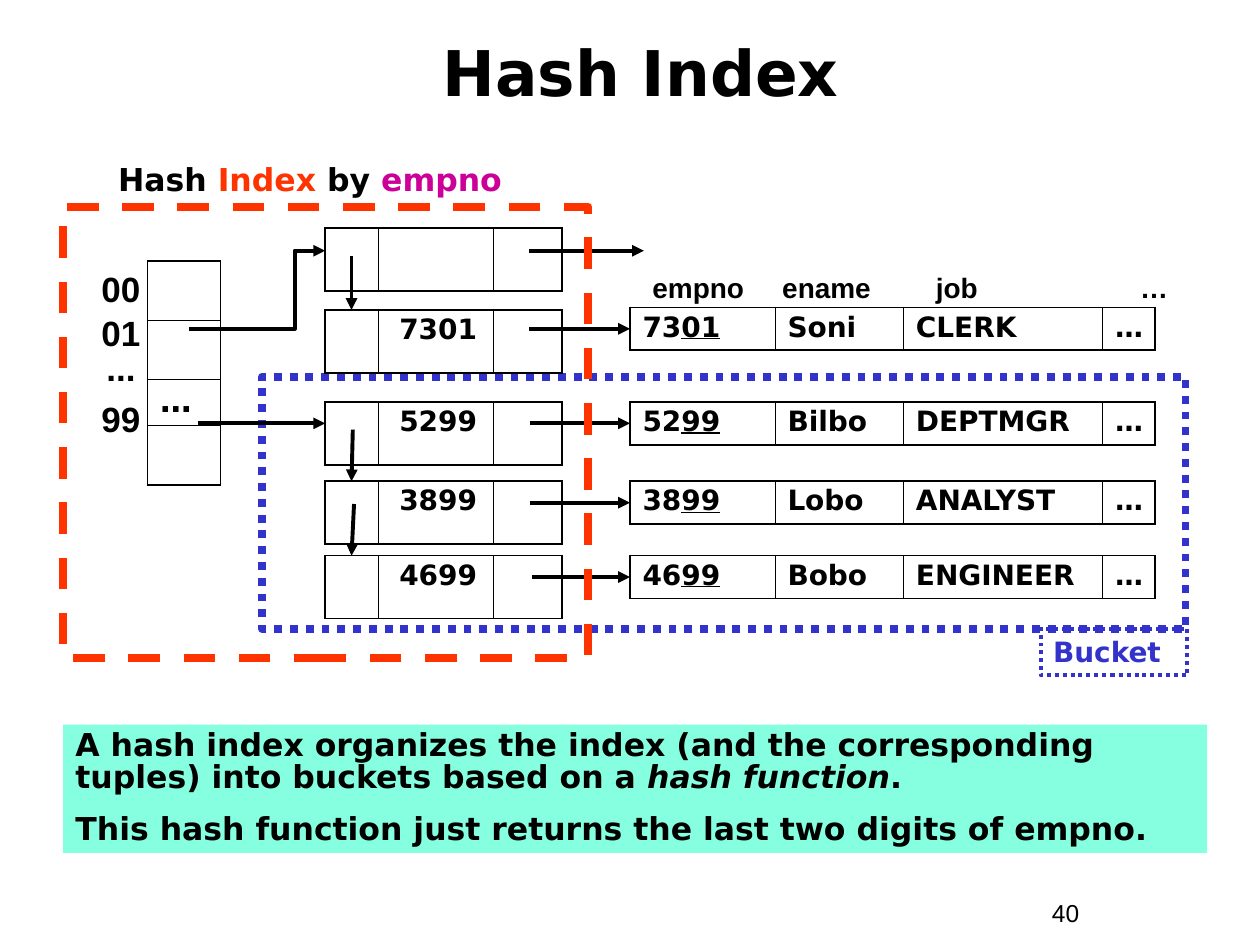
from dataclasses import dataclass

from lxml.etree import SubElement
from pptx import Presentation
from pptx.dml.color import RGBColor
from pptx.enum.dml import MSO_LINE
from pptx.enum.shapes import MSO_CONNECTOR, MSO_SHAPE
from pptx.enum.text import MSO_ANCHOR, PP_ALIGN
from pptx.oxml import parse_xml
from pptx.oxml.ns import nsdecls, qn
from pptx.util import Inches, Pt


@dataclass(frozen=True)
class Theme:
    sans: str = "DejaVu Sans"
    arial: str = "Arial"
    black: str = "000000"
    bucket: str = "3333CC"
    index: str = "FF3300"
    key: str = "CC0099"
    note: str = "85FFDF"
    title: int = 36
    hash_label: int = 20
    body: int = 18
    cell: int = 16
    page: int = 14
    arrow: float = 2.25
    frame: float = 4.5
    outer_border: float = 1.08
    inner_border: float = 0.45


theme = Theme()


def write(frame, paragraphs, size, font=theme.sans, align=PP_ALIGN.LEFT,
          spacing=None, bold=True, color=theme.black):
    """Fill a text frame; each paragraph is a list of (text, {run overrides})."""
    frame.word_wrap = True
    for i, runs in enumerate(paragraphs):
        paragraph = frame.paragraphs[0] if i == 0 else frame.add_paragraph()
        paragraph.alignment = align
        paragraph.line_spacing = spacing
        for text, style in runs:
            run = paragraph.add_run()
            run.text = text
            run.font.name = font
            run.font.size = Pt(size)
            run.font.bold = bold
            run.font.italic = style.get("italic")
            run.font.underline = style.get("underline")
            run.font.color.rgb = RGBColor.from_string(style.get("color", color))


def add_grid(left, top, widths, heights, contents):
    """Add an unfilled table with thick outer and thin inner borders."""
    rows, cols = len(heights), len(widths)
    table = slide.shapes.add_table(rows, cols, Inches(left), Inches(top),
                                   Inches(sum(widths)), Inches(sum(heights))).table
    table.first_row = table.horz_banding = False
    for c, width in enumerate(widths):
        table.columns[c].width = Inches(width)
    for r, height in enumerate(heights):
        table.rows[r].height = Inches(height)
        for c in range(cols):
            cell = table.cell(r, c)
            cell.fill.background()
            if contents[r][c]:
                write(cell.text_frame, [contents[r][c]], theme.cell, spacing=0.9)
            outer = {"L": c == 0, "R": c == cols - 1, "T": r == 0, "B": r == rows - 1}
            for position, (side, is_outer) in enumerate(outer.items()):
                width = Pt(theme.outer_border if is_outer else theme.inner_border)
                cell._tc.get_or_add_tcPr().insert(position, parse_xml(
                    f'<a:ln{side} {nsdecls("a")} w="{width}"><a:solidFill>'
                    f'<a:srgbClr val="{theme.black}"/></a:solidFill></a:ln{side}>'))
    return table


prs = Presentation()
prs.slide_width, prs.slide_height = Inches(10), Inches(7.5)
slide = prs.slides.add_slide(prs.slide_layouts[5])

title = slide.shapes.title
title.left, title.top = Inches(0.42), Inches(0.11)
title.width, title.height = Inches(9.33), Inches(0.92)
title.text_frame.vertical_anchor = MSO_ANCHOR.MIDDLE
write(title.text_frame, [[("Hash Index", {})]], theme.title, align=PP_ALIGN.CENTER)

# Bucket outline, its label, the index outline and the note
boxes = {}
for part, left, top, width, height, color, weight, dash in [
    ("bucket", 2.08, 2.99, 7.33, 2, theme.bucket, theme.frame, MSO_LINE.ROUND_DOT),
    ("bucket label", 8.26, 4.99, 1.16, 0.37, theme.bucket, 2.25, MSO_LINE.ROUND_DOT),
    ("index", 0.5, 1.64, 4.17, 3.58, theme.index, theme.frame, MSO_LINE.DASH),
    ("note", 0.5, 5.75, 9.08, 1.02, None, None, None),
]:
    box = slide.shapes.add_shape(MSO_SHAPE.RECTANGLE, Inches(left), Inches(top),
                                 Inches(width), Inches(height))
    box.shadow.inherit = False
    box.text_frame.vertical_anchor = MSO_ANCHOR.TOP
    if color:
        box.fill.background()
        box.line.color.rgb = RGBColor.from_string(color)
        box.line.width = Pt(weight)
        box.line.dash_style = dash
    else:
        box.fill.solid()
        box.fill.fore_color.rgb = RGBColor.from_string(theme.note)
        box.line.fill.background()
    boxes[part] = box

write(boxes["bucket label"].text_frame, [[("Bucket", {})]], theme.cell, color=theme.bucket)
note_frame = boxes["note"].text_frame
write(note_frame, [
    [("A hash index organizes the index (and the corresponding tuples) into buckets based on a ", {}),
     ("hash function", {"italic": True}), (".", {})],
    [("This hash function just returns the last two digits of empno.", {})],
], theme.body, spacing=0.85)
note_frame.paragraphs[1].space_before = Pt(11.2)

# Hash directory
directory = add_grid(1.17, 2.07, [0.58], [0.47, 0.47, 0.37, 0.47],
                     [[None], [None], [[("…", {})]], [None]])
ellipsis = directory.cell(2, 0)
ellipsis.vertical_anchor = MSO_ANCHOR.MIDDLE
ellipsis.text_frame.paragraphs[0].runs[0].font.size = Pt(theme.body)

# Index entries and the records they point to
for top, empno, ename, job in [
    (1.81, None, None, None),
    (2.46, "7301", "Soni", "CLERK"),
    (3.19, "5299", "Bilbo", "DEPTMGR"),
    (3.82, "3899", "Lobo", "ANALYST"),
    (4.41, "4699", "Bobo", "ENGINEER"),
]:
    entry = add_grid(2.58, top, [0.42, 0.92, 0.54], [0.5],
                     [[None, [(empno, {})] if empno else None, None]])
    entry.cell(0, 1).margin_left = Inches(0.17)
    if empno:
        hashed_key = [(empno[:2], {}), (empno[2:], {"underline": True})]
        record_top = 2.44 if empno == "7301" else top
        add_grid(5, record_top, [1.15, 1.02, 1.58, 0.42], [0.34],
                 [[hashed_key, [(ename, {})], [(job, {})], [("…", {})]]])

# Pointers
for x1, y1, x2, y2 in [
    (4.2, 1.99, 5.11, 1.99), (4.2, 2.61, 5, 2.61), (4.21, 3.36, 5, 3.36),
    (4.21, 3.99, 5, 3.99), (4.22, 4.58, 5, 4.58),
    (2.79, 2.03, 2.79, 2.46), (2.8, 3.41, 2.79, 3.82), (2.81, 4, 2.79, 4.41),
    (1.57, 3.36, 2.58, 3.36), (1.5, 2.61, 2.58, 1.99),
]:
    bent = x1 != x2 and abs(y1 - y2) > 0.5
    pointer = slide.shapes.add_connector(
        MSO_CONNECTOR.ELBOW if bent else MSO_CONNECTOR.STRAIGHT,
        Inches(x1), Inches(y1), Inches(x2), Inches(y2))
    pointer.line.color.rgb = RGBColor.from_string(theme.black)
    pointer.line.width = Pt(theme.arrow)
    SubElement(pointer.line._get_or_add_ln(), qn("a:tailEnd"), type="triangle")
    properties = pointer._element.spPr
    SubElement(properties, qn("a:effectLst"))
    if bent:
        guides = properties.find(qn("a:prstGeom")).get_or_add_avLst()
        SubElement(guides, qn("a:gd"), name="adj1", fmla="val 77600")

# The outline and label of the index lie above the pointers
slide.shapes._spTree.append(boxes["index"]._element)

# Captions
captions = {}
for part, left, top, width, height, runs, style in [
    ("index", 0.67, 1.22, 3.58, 0.4,
     [[("Hash", {}), (" Index ", {"color": theme.index}), ("by ", {}),
       ("empno", {"color": theme.key})]],
     dict(size=theme.body, align=PP_ALIGN.CENTER)),
    ("hashes", 0.67, 2.07, 0.58, 1.47, [[(label, {})] for label in ("00", "01", "...", "99")],
     dict(size=theme.hash_label, font=theme.arial, align=PP_ALIGN.CENTER)),
    ("columns", 5.08, 2.1, 4.75, 0.37, [[("empno\tename\tjob\t…", {})]],
     dict(size=theme.cell, font=theme.arial)),
    ("page", 8.25, 7.08, 0.92, 0.34, [[("40", {})]],
     dict(size=theme.page, font=theme.arial, bold=False)),
]:
    caption = slide.shapes.add_textbox(Inches(left), Inches(top), Inches(width), Inches(height))
    write(caption.text_frame, runs, **style)
    captions[part] = caption.text_frame.paragraphs

captions["hashes"][1].space_before = Pt(1.2)
captions["hashes"][2].line_spacing = 0.85
captions["hashes"][3].space_before = Pt(5)
tab_stops = SubElement(captions["columns"][0]._p.get_or_add_pPr(), qn("a:tabLst"))
for stop in (1.03, 2.25, 3.87):
    SubElement(tab_stops, qn("a:tab"), pos=str(Inches(stop)), algn="l")

prs.save("out.pptx")
